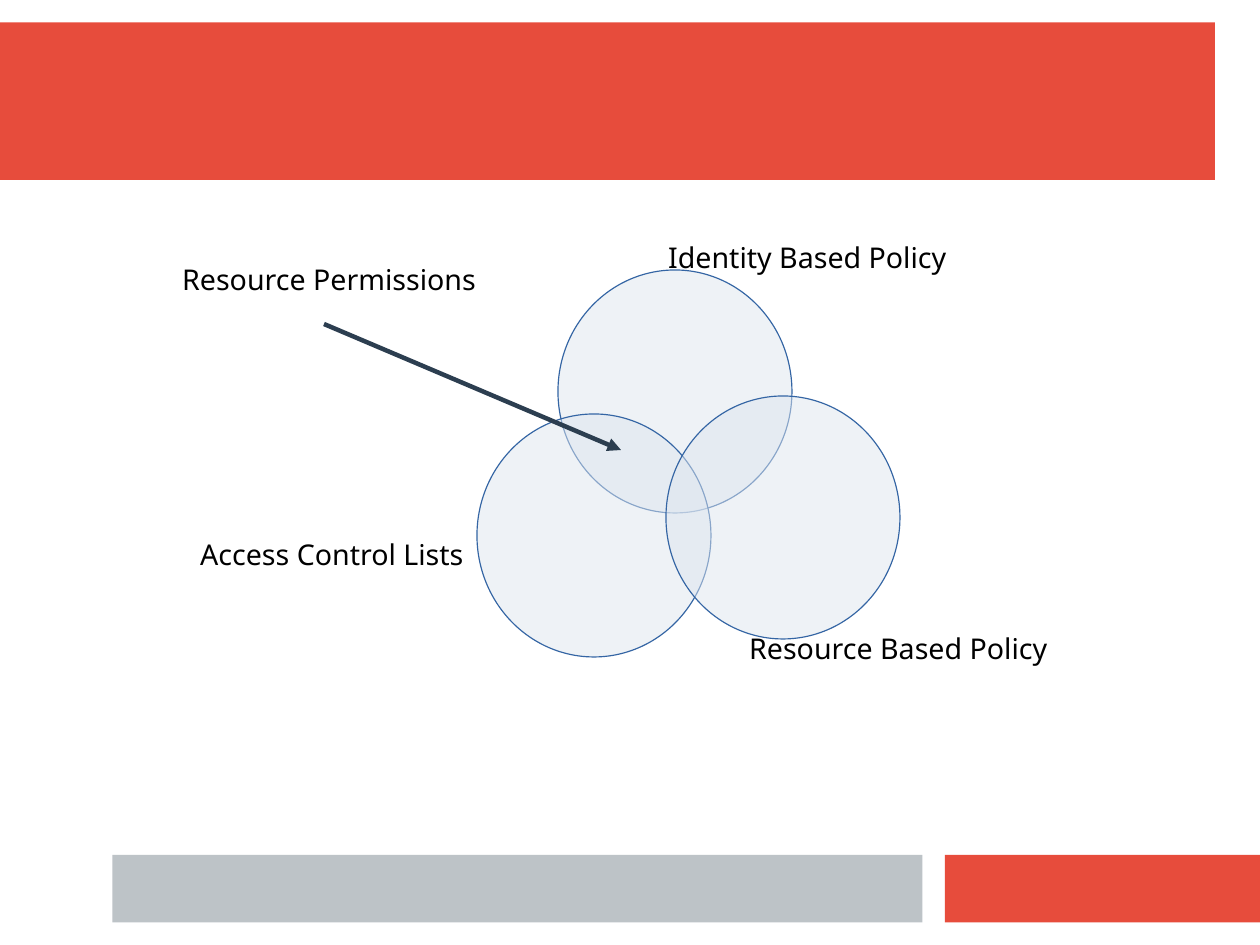
from lxml.etree import SubElement
from pptx import Presentation
from pptx.dml.color import RGBColor
from pptx.enum.shapes import MSO_CONNECTOR as Connector, MSO_SHAPE as Shape
from pptx.enum.text import MSO_ANCHOR as Anchor
from pptx.oxml.ns import qn
from pptx.util import Cm, Pt

COLOURS = {
    "red": "E74C3C",
    "grey": "BDC3C7",
    "circle": "DEE6EF",
    "outline": "3465A4",
    "arrow": "2C3E50",
    "text": "000000",
}
BANDS = [
    (0, 0.5, 27, 3.5, "red"),
    (21, 19, 7, 1.5, "red"),
    (2.5, 19, 18, 1.5, "grey"),
]
CIRCLES = [(12.4, 6), (10.6, 9.2), (14.8, 8.8)]
POLICY_LABELS = [
    ("Identity Based Policy", 14.6, 5.2),
    ("Resource Based Policy", 16.4, 13.9),
    ("Access Control Lists", 4.2, 11.8),
]
LABEL_FONT = {"name": "Noto Sans", "size": Pt(18)}
LABEL_FRAME = {
    "word_wrap": True,
    "vertical_anchor": Anchor.TOP,
    "margin_left": Cm(0.25),
    "margin_right": Cm(0.25),
    "margin_top": Cm(0.13),
    "margin_bottom": Cm(0.13),
}


def colour(name):
    """Return the named colour of the palette."""
    return RGBColor.from_string(COLOURS[name])


def apply_format(target, values):
    """Set each attribute in values on the target."""
    for name, value in values.items():
        setattr(target, name, value)


def add_filled(page, kind, left, top, width, height, fill):
    """Add a flat preset shape without an outline."""
    shape = page.shapes.add_shape(kind, Cm(left), Cm(top), Cm(width), Cm(height))
    shape.shadow.inherit = False
    shape.fill.solid()
    shape.fill.fore_color.rgb = colour(fill)
    shape.line.fill.background()
    return shape


def add_circle(page, left, top):
    """Add one half-transparent circle of the Venn diagram."""
    circle = add_filled(page, Shape.OVAL, left, top, 5.2, 5.4, "circle")
    circle.line.color.rgb = colour("outline")
    circle.line.width = Pt(0.75)
    fill = circle.element.spPr.find(qn("a:solidFill"))
    SubElement(fill[0], qn("a:alpha"), val="50000")


def add_label(page, text, left, top):
    """Add a one-line text label."""
    box = page.shapes.add_textbox(Cm(left), Cm(top), Cm(11.6), Cm(1.12))
    apply_format(box.text_frame, LABEL_FRAME)
    span = box.text_frame.paragraphs[0].add_run()
    span.text = text
    apply_format(span.font, LABEL_FONT)
    span.font.color.rgb = colour("text")


def add_arrow(page, start, end):
    """Add a straight arrow between two points."""
    points = [Cm(value) for value in (*start, *end)]
    arrow = page.shapes.add_connector(Connector.STRAIGHT, *points)
    arrow.line.color.rgb = colour("arrow")
    arrow.line.width = Pt(2.83)
    properties = arrow.element.spPr
    SubElement(properties.find(qn("a:ln")), qn("a:tailEnd"), type="triangle")
    SubElement(properties, qn("a:effectLst"))


def main():
    """Build the permissions diagram and save the deck."""
    deck = Presentation()
    apply_format(deck, {"slide_width": Cm(28), "slide_height": Cm(21)})
    page = deck.slides.add_slide(deck.slide_layouts.get_by_name("Blank"))
    for band in BANDS:
        add_filled(page, Shape.RECTANGLE, *band)
    for circle in CIRCLES:
        add_circle(page, *circle)
    for label in POLICY_LABELS:
        add_label(page, *label)
    add_arrow(page, (7.2, 7.2), (13.8, 10))
    add_label(page, "Resource Permissions", 3.8, 5.7)
    deck.save("out.pptx")


if __name__ == "__main__":
    main()
